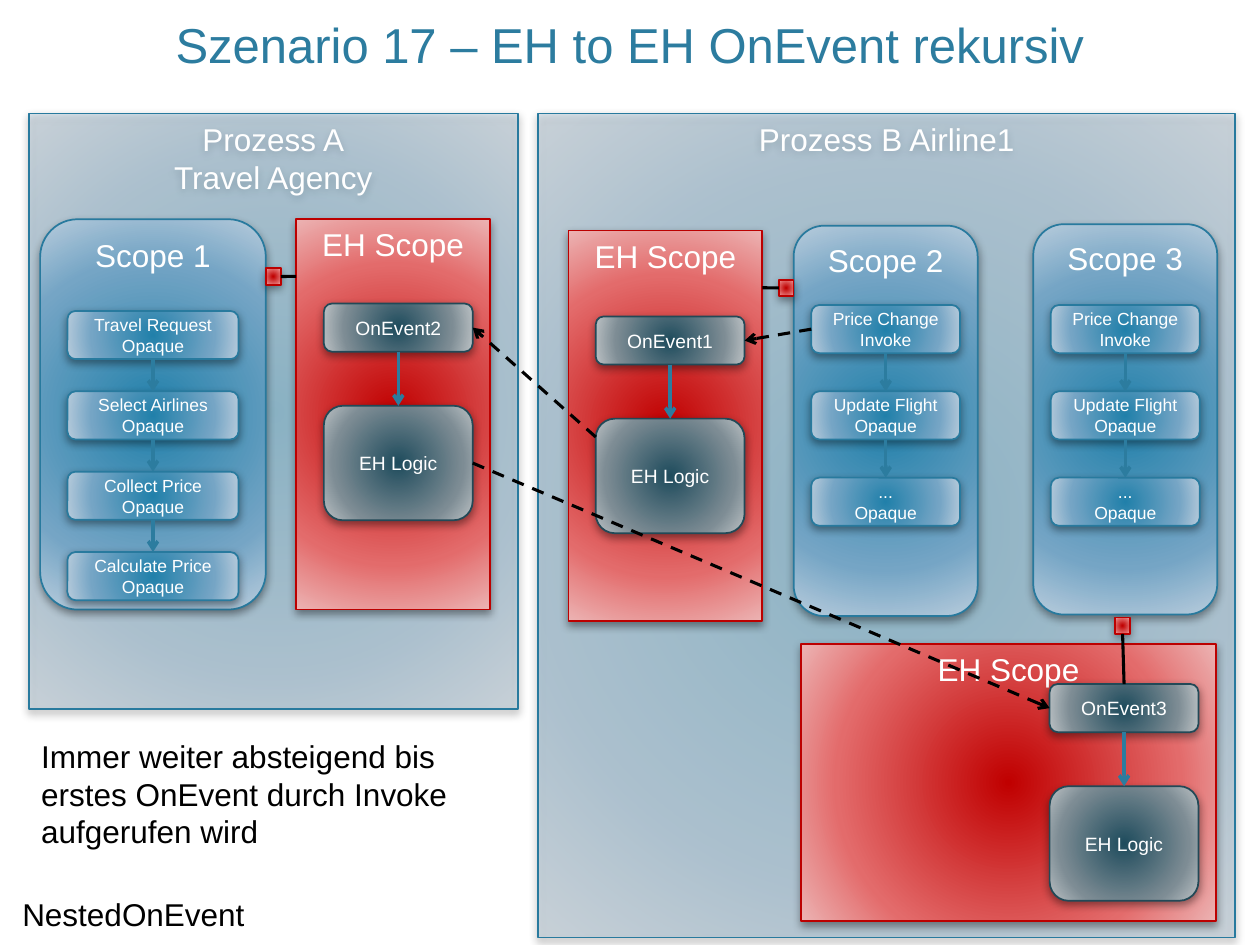
from lxml import etree
from pptx import Presentation
from pptx import oxml
from pptx import util as u
from pptx.dml import color
from pptx.enum import dml, shapes, text as t
from pptx.oxml import ns

COLORS = {"title": "2C7C9F", "arrow": "2C7C9F", "black": "000000", "white": "FFFFFF"}
# Each style: gradient from centre to rim, then the outline
STYLES = {
    "blue": ("2180AA", "75A5C5", "B8CCDC", "287A9E"),
    "red": ("C00000", "E36B6B", "ECB3B3", "BC0000"),
    "dark": ("1F4C5D", "7D8C94", "BCC2C5", "224957"),
}
RECT = shapes.MSO_SHAPE.RECTANGLE
ROUND = shapes.MSO_SHAPE.ROUNDED_RECTANGLE
TOP, MIDDLE, BOTTOM = t.MSO_ANCHOR.TOP, t.MSO_ANCHOR.MIDDLE, t.MSO_ANCHOR.BOTTOM
CENTER, LEFT = t.PP_ALIGN.CENTER, t.PP_ALIGN.LEFT
SIDE_TOP, SIDE_LEFT, SIDE_BOTTOM, SIDE_RIGHT = range(4)

deck = Presentation()
deck.slide_width, deck.slide_height = u.Cm(25.4), u.Cm(19.05)
page = deck.slides.add_slide(deck.slide_layouts[6])


def add_box(words, *area, kind=RECT, style=None, opacity=100, size=18,
            ink="white", align=CENTER, anchor=TOP, wrap=True):
    """Place text in a shadowed gradient shape, or in a bare text box without style."""
    place = [u.Cm(value) for value in area]
    if style:
        box = page.shapes.add_shape(kind, *place)
        *stops, outline = STYLES[style]
        box.line.color.rgb = color.RGBColor.from_string(outline)
        box.line.width = u.Pt(1)
        stop_xml = "".join(
            f'<a:gs pos="{position}000"><a:srgbClr val="{stop}">'
            f'<a:alpha val="{opacity}000"/></a:srgbClr></a:gs>'
            for position, stop in zip((0, 69, 100), stops))
        properties = box._element.spPr
        properties.find(ns.qn("a:prstGeom")).addnext(oxml.parse_xml(
            f'<a:gradFill {ns.nsdecls("a")} rotWithShape="1"><a:gsLst>{stop_xml}</a:gsLst>'
            '<a:path path="circle"><a:fillToRect l="100000" t="100000" r="100000" b="100000"/>'
            '</a:path></a:gradFill>'))
        box.shadow.inherit = False
        properties.find(ns.qn("a:effectLst")).append(oxml.parse_xml(
            f'<a:outerShdw {ns.nsdecls("a")} blurRad="{u.Pt(5)}" dist="{u.Pt(2)}" '
            'dir="5400000" rotWithShape="0"><a:srgbClr val="000000">'
            '<a:alpha val="40000"/></a:srgbClr></a:outerShdw>'))
    else:
        box = page.shapes.add_textbox(*place)
    frame = box.text_frame
    frame.word_wrap = wrap
    frame.vertical_anchor = anchor
    frame.text = words
    for para in frame.paragraphs:
        para.alignment = align
        for span in para.runs:
            span.font.name = "Arial"
            span.font.size = u.Pt(size)
            span.font.color.rgb = color.RGBColor.from_string(COLORS[ink])
    return box


def add_link(start, end, ink="black", width=1.75, dashed=False, arrow=True):
    """Connect two ends, each given as (shape, side) or as (x, y) in cm."""
    points = [(0, 0) if hasattr(spot[0], "shape_id") else spot for spot in (start, end)]
    link = page.shapes.add_connector(
        shapes.MSO_CONNECTOR.STRAIGHT, *[u.Cm(value) for point in points for value in point])
    for spot, connect in ((start, link.begin_connect), (end, link.end_connect)):
        if hasattr(spot[0], "shape_id"):
            connect(*spot)
    link.line.color.rgb = color.RGBColor.from_string(COLORS[ink])
    link.line.width = u.Pt(width)
    if dashed:
        link.line.dash_style = dml.MSO_LINE.DASH
    properties = link._element.spPr
    if arrow:
        etree.SubElement(properties.find(ns.qn("a:ln")), ns.qn("a:tailEnd"), type="arrow")
    etree.SubElement(properties, ns.qn("a:effectLst"))


# Title and processes
add_box("Szenario 17 – EH to EH OnEvent rekursiv", 1.52, 0.3, 22.35, 1.3,
        size=28, ink="title", anchor=BOTTOM)
add_box("Prozess B Airline1", 10.85, 2.29, 14.05, 16.61, style="blue", opacity=41)
add_box("Prozess A\nTravel Agency", 0.58, 2.29, 9.86, 12.01, style="blue", opacity=41)

# Scopes with their chains of steps
airline_steps = ["Price Change\nInvoke", "Update Flight\nOpaque", "...\nOpaque"]
agency_steps = ["Travel Request\nOpaque", "Select Airlines\nOpaque",
                "Collect Price\nOpaque", "Calculate Price\nOpaque"]
scopes = [  # name, left, top, width, step width, first step top, step pitch, steps
    ("Scope 1", 0.81, 4.42, 4.55, 3.45, 6.27, 1.62, agency_steps),
    ("Scope 2", 16.0, 4.55, 3.71, 3.0, 6.15, 1.74, airline_steps),
    ("Scope 3", 20.83, 4.52, 3.71, 3.0, 6.15, 1.74, airline_steps),
]
first_steps = {}
for name, left, top, width, step_width, step_top, pitch, steps in scopes:
    add_box(name, left, top, width, 7.87, kind=ROUND, style="blue")
    step_left = left + (width - step_width) / 2
    chain = [add_box(step, step_left, step_top + pitch * row, step_width, 0.97,
                     kind=ROUND, style="blue", size=10, anchor=MIDDLE)
             for row, step in enumerate(steps)]
    for upper, lower in zip(chain, chain[1:]):
        add_link((upper, SIDE_BOTTOM), (lower, SIDE_TOP), ink="arrow", width=2)
    first_steps[name] = chain[0]

# Event handler scopes, each with an event, its logic and a port on the guarded scope
handlers = [  # event, scope area, event position, port position
    ("OnEvent2", (5.97, 4.42, 3.91, 7.87), (6.53, 6.12), (5.36, 5.41)),
    ("OnEvent3", (16.15, 12.98, 8.36, 5.59), (21.16, 13.79), (22.48, 12.45)),
    ("OnEvent1", (11.46, 4.65, 3.91, 7.87), (12.01, 6.38), (15.7, 5.64)),
]
events, logics, ports = {}, {}, {}
for name, area, (left, top), port in handlers:
    add_box("EH Scope", *area, style="red")
    dark = dict(kind=ROUND, style="dark", size=11, anchor=MIDDLE)
    events[name] = add_box(name, left, top, 3.0, 0.97, **dark)
    logics[name] = add_box("EH Logic", left, top + 2.06, 3.0, 2.31, **dark)
    ports[name] = add_box("", *port, 0.3, 0.33, style="red")
    add_link((events[name], SIDE_BOTTOM), (logics[name], SIDE_TOP), ink="arrow", width=2)

add_link((ports["OnEvent2"], SIDE_RIGHT), (5.97, 5.57), arrow=False)
add_link((ports["OnEvent1"], SIDE_LEFT), (15.37, 5.8), arrow=False)
add_link((ports["OnEvent3"], SIDE_BOTTOM), (events["OnEvent3"], SIDE_TOP), arrow=False)

# Calls between the scopes
calls = [
    ((first_steps["Scope 2"], SIDE_LEFT), (events["OnEvent1"], SIDE_RIGHT)),
    ((12.01, 8.81), (events["OnEvent2"], SIDE_RIGHT)),
    ((logics["OnEvent2"], SIDE_RIGHT), (events["OnEvent3"], SIDE_LEFT)),
]
for caller, event in calls:
    add_link(caller, event, dashed=True)

# Notes below process A
add_box("Immer weiter absteigend bis erstes OnEvent durch Invoke aufgerufen wird",
        0.58, 14.73, 9.86, 2.57, ink="black", align=LEFT)
add_box("NestedOnEvent", 0.2, 17.91, 5.16, 1.02, ink="black", align=LEFT, wrap=False)

deck.save("out.pptx")
